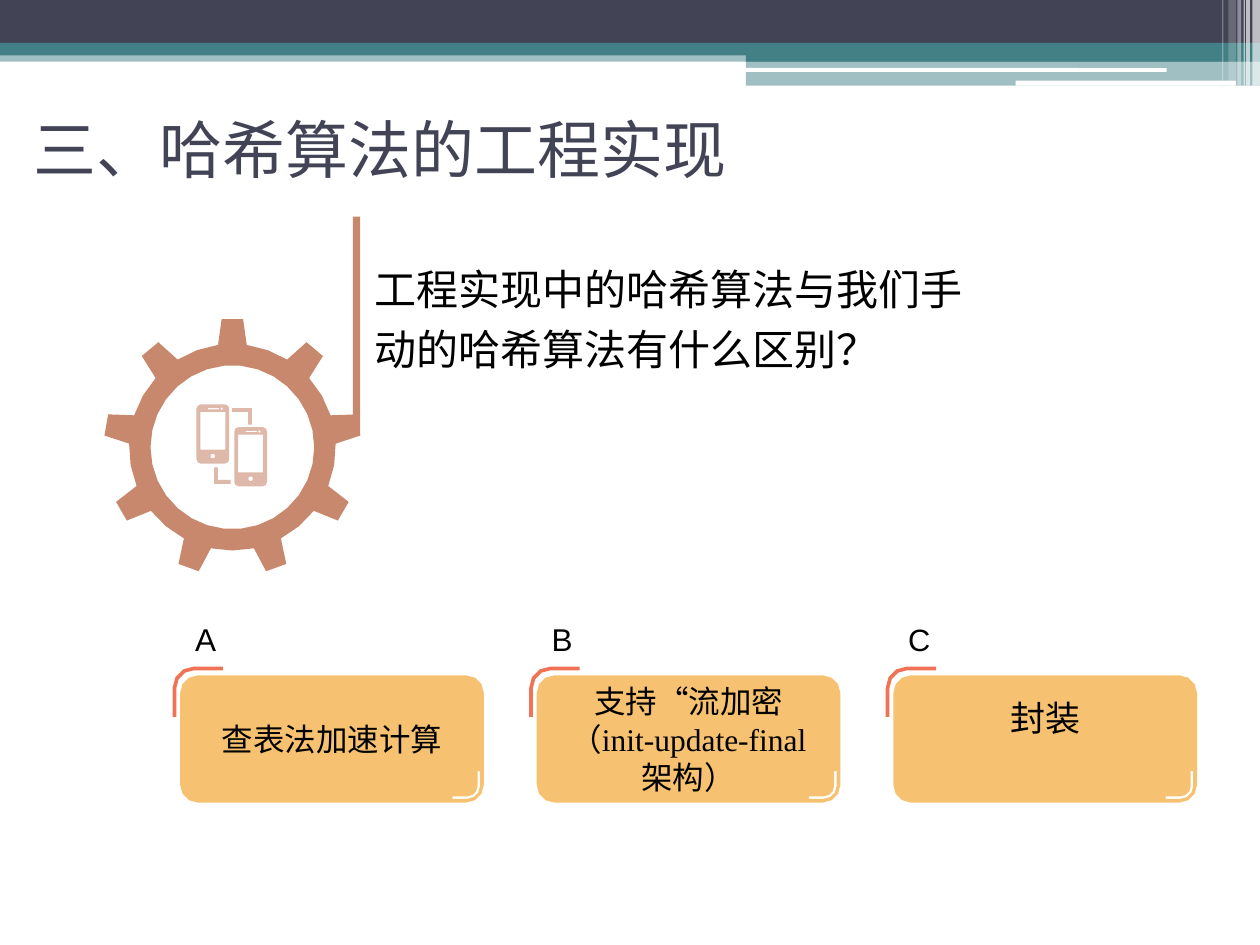
"""Build the slide on engineering implementations of hash algorithms."""
from dataclasses import dataclass
from math import cos, radians, sin
from typing import NamedTuple

from lxml.etree import SubElement
from pptx import Presentation
from pptx.dml.color import RGBColor
from pptx.enum.shapes import MSO_SHAPE as Shape
from pptx.enum.text import MSO_ANCHOR as Anchor, PP_ALIGN as Align
from pptx.oxml.ns import qn
from pptx.util import Inches, Pt

Point = tuple[float, float]
Contour = list[Point]


@dataclass(frozen=True)
class Theme:
    navy: str = "424456"
    teal: str = "438086"
    white: str = "FFFFFF"
    black: str = "000000"
    clay: str = "C8886E"
    blush: str = "DEB8A8"
    amber: str = "F6C171"
    coral: str = "F27255"
    cjk: str = "Noto Sans CJK SC"
    sans: str = "Arial"
    serif: str = "Times New Roman"
    title: float = 36
    question: float = 24
    body: float = 18
    small: float = 17.6
    large: float = 20


class Band(NamedTuple):
    x: float
    y: float
    w: float
    h: float
    color: str
    alpha: int = 100
    rounded: bool = False


class Card(NamedTuple):
    label: str
    lines: list[str]
    size: float
    latin: str
    label_size: float
    bottom: float = 0.05


T = Theme()
BANDS = [
    Band(0, 0.4, 10, 0.09, T.teal, 50),
    Band(0, 0, 10, 0.34, T.navy),
    Band(0, 0.34, 10, 0.1, T.teal),
    Band(5.92, 0.39, 4.08, 0.1, T.teal),
    Band(5.92, 0.48, 4.08, 0.2, T.teal, 50),
    Band(5.91, 0.54, 3.35, 0.03, T.white, rounded=True),
    Band(8.06, 0.64, 1.75, 0.04, T.white, rounded=True),
    Band(9.94, 0, 0.06, 0.68, T.white, 65),
    Band(9.89, 0, 0.03, 0.68, T.white, 65),
    Band(9.87, 0, 0.01, 0.68, T.white, 60),
    Band(9.82, 0, 0.03, 0.68, T.white, 40),
    Band(9.75, 0, 0.06, 0.64, T.white, 20),
    Band(9.7, 0, 0.01, 0.64, T.white, 30),
]
CARDS = [
    Card("A", ["查表法加速计算"], T.body, T.cjk, T.body),
    Card("B", ["支持“流加密", "（init-update-final", "架构）"], T.body, T.serif, T.body),
    Card("C", ["封装"], T.large, T.cjk, T.small, bottom=0.39),
]
CARD_X, CARD_Y, CARD_W, CARD_H, CARD_STEP = 1.43, 5.36, 2.41, 1.01, 2.83


def paint(sp, color: str, alpha: int = 100) -> None:
    """Give a shape a plain fill without line or shadow."""
    sp.shadow.inherit = False
    sp.line.fill.background()
    sp.fill.solid()
    sp.fill.fore_color.rgb = RGBColor.from_string(color)
    if alpha < 100:
        clr = sp._element.spPr.find(qn("a:solidFill"))[0]
        SubElement(clr, qn("a:alpha")).set("val", str(alpha * 1000))


def write(sp, lines: list[str], *, size: float, color: str = T.black, latin: str = T.cjk,
          align=Align.LEFT, anchor=Anchor.TOP, spacing: float = 1.0,
          bottom: float = 0.05) -> None:
    """Write one paragraph per line in a shape."""
    tf = sp.text_frame
    tf.word_wrap = True
    tf.vertical_anchor = anchor
    tf.margin_bottom = Inches(bottom)
    for i, line in enumerate(lines):
        p = tf.add_paragraph() if i else tf.paragraphs[0]
        p.alignment = align
        p.line_spacing = spacing
        r = p.add_run()
        r.text = line
        r.font.size = Pt(size)
        r.font.name = latin
        r.font.color.rgb = RGBColor.from_string(color)
        SubElement(r._r.get_or_add_rPr(), qn("a:ea")).set("typeface", T.cjk)


def add_text(s, x: float, y: float, w: float, h: float, lines: list[str], **fmt) -> None:
    """Add a text box."""
    write(s.shapes.add_textbox(Inches(x), Inches(y), Inches(w), Inches(h)), lines, **fmt)


def add_band(s, b: Band) -> None:
    """Add a rectangle, optionally rounded."""
    kind = Shape.ROUNDED_RECTANGLE if b.rounded else Shape.RECTANGLE
    paint(s.shapes.add_shape(kind, Inches(b.x), Inches(b.y), Inches(b.w), Inches(b.h)),
          b.color, b.alpha)


def add_outline(s, contours: list[Contour], color: str, dx: float = 0, dy: float = 0):
    """Add a freeform whose later contours cut holes in the first."""
    paths = [[(Inches(x + dx), Inches(y + dy)) for x, y in c] for c in contours]
    fb = s.shapes.build_freeform(*paths[0][0])
    for i, path in enumerate(paths):
        if i:
            fb.move_to(*path[0])
        fb.add_line_segments(path[1:], close=True)
    sp = fb.convert_to_shape()
    paint(sp, color)
    return sp


def arc(cx: float, cy: float, r: float, start: float, end: float) -> Contour:
    """Return points on an arc, in degrees clockwise, fewer for small radii."""
    step = 60 if r < 0.05 else 30 if r < 0.5 else 12
    steps = max(1, round(abs(end - start) / step))
    angles = [radians(start + (end - start) * i / steps) for i in range(steps + 1)]
    return [(cx + r * cos(a), cy + r * sin(a)) for a in angles]


def circle(cx: float, cy: float, r: float) -> Contour:
    """Return points on a full circle."""
    return arc(cx, cy, r, 0, 360)[:-1]


def box(x: float, y: float, w: float, h: float, r: float = 0) -> Contour:
    """Return a rectangle with corners of radius r."""
    if not r:
        return [(x, y), (x + w, y), (x + w, y + h), (x, y + h)]
    centers = [(x + w - r, y + h - r), (x + r, y + h - r), (x + r, y + r), (x + w - r, y + r)]
    return [pt for i, (cx, cy) in enumerate(centers)
            for pt in arc(cx, cy, r, 90 * i, 90 * i + 90)]


def corner(cx: float, cy: float, outer: float, inner: float, tail: float, sign: int) -> Contour:
    """Return a bent strip: lower right for sign 1, upper left for -1."""
    turn = 0 if sign > 0 else 180
    return [(cx + sign * outer, cy - sign * tail), *arc(cx, cy, outer, turn, turn + 90),
            (cx - sign * tail, cy + sign * outer), (cx - sign * tail, cy + sign * inner),
            *arc(cx, cy, inner, turn + 90, turn), (cx + sign * inner, cy - sign * tail)]


def add_gear(s, cx: float, cy: float, teeth: int = 9) -> None:
    """Add a toothed ring."""
    rim, tip, hole, pitch = 0.82, 1.02, 0.65, 360 / teeth
    ring = []
    for i in range(teeth):
        mid = -90 + i * pitch
        ring += arc(cx, cy, tip, mid - 4.8, mid + 4.8)
        ring += arc(cx, cy, rim, mid + 8, mid + pitch - 8)
    add_outline(s, [ring, circle(cx, cy, hole)], T.clay)


def add_phone(s, x: float, y: float) -> None:
    """Add a phone with screen, speaker, camera and button cut out."""
    add_outline(s, [box(0, 0, 0.26, 0.47, 0.035), box(0.03, 0.06, 0.2, 0.3),
                    box(0.09, 0.03, 0.09, 0.01), circle(0.2, 0.035, 0.01),
                    circle(0.13, 0.41, 0.02)], T.blush, x, y)


def add_card(s, x: float, card: Card) -> None:
    """Add a labelled answer card with its corner marks."""
    sp = add_outline(s, [box(0, 0, CARD_W, CARD_H, 0.14),
                         corner(2.28, 0.88, 0.1, 0.08, 0.12, 1)], T.amber, x, CARD_Y)
    write(sp, card.lines, size=card.size, latin=card.latin, align=Align.CENTER,
          anchor=Anchor.MIDDLE, bottom=card.bottom)
    add_outline(s, [corner(0.11, 0.1, 0.17, 0.14, 0.23, -1)], T.coral, x, CARD_Y)
    add_text(s, x + 0.02, 4.84, 0.34, 0.46, [card.label], size=card.label_size, latin=T.sans,
             anchor=Anchor.MIDDLE)


def main() -> None:
    """Build and save the slide."""
    prs = Presentation()
    prs.slide_width, prs.slide_height = Inches(10), Inches(7.5)
    s = prs.slides.add_slide(prs.slide_layouts[6])
    for band in BANDS:
        add_band(s, band)
    add_text(s, 0.17, 0.59, 9, 1.17, ["三、哈希算法的工程实现"], size=T.title, color=T.navy,
             anchor=Anchor.MIDDLE)
    add_band(s, Band(2.8, 1.72, 0.06, 1.73, T.clay))
    for x, y in [(1.56, 3.21), (1.86, 3.39)]:
        add_phone(s, x, y)
    add_outline(s, [[(0, 0), (0.16, 0), (0.16, 0.13), (0.13, 0.13), (0.13, 0.03), (0, 0.03)]],
                T.blush, 1.84, 3.24)
    add_outline(s, [[(0, 0), (0.03, 0), (0.03, 0.1), (0.13, 0.1), (0.13, 0.13), (0, 0.13)]],
                T.blush, 1.7, 3.71)
    add_gear(s, 1.845, 3.55)
    add_text(s, 2.87, 1.96, 5.05, 1.16, ["工程实现中的哈希算法与我们手动的哈希算法有什么区别？"],
             size=T.question, spacing=1.2)
    for i, card in enumerate(CARDS):
        add_card(s, CARD_X + i * CARD_STEP, card)
    prs.save("out.pptx")


if __name__ == "__main__":
    main()
